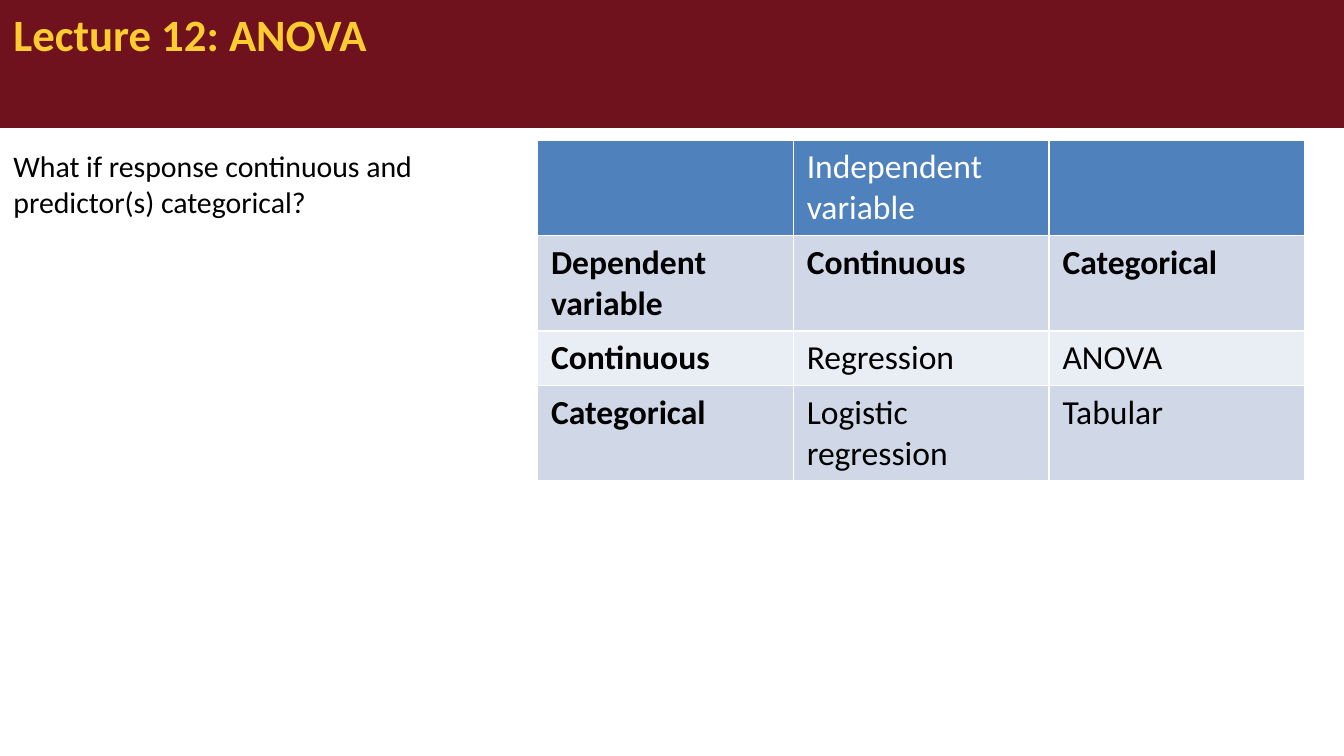
from lxml import etree
from pptx import Presentation
from pptx.dml.color import RGBColor
from pptx.enum.text import MSO_ANCHOR, MSO_AUTO_SIZE, PP_ALIGN
from pptx.oxml.ns import qn
from pptx.util import Cm, Pt

TOP = MSO_ANCHOR.TOP
NO_AUTOFIT = MSO_AUTO_SIZE.NONE
LEFT = PP_ALIGN.LEFT

MAROON = RGBColor(0x70, 0x12, 0x1D)
GOLD = RGBColor(0xFD, 0xCC, 0x31)
BLACK = RGBColor(0x00, 0x00, 0x00)
WHITE = RGBColor(0xFF, 0xFF, 0xFF)
HEADER_BLUE = RGBColor(0x4F, 0x81, 0xBD)
BAND_DARK = RGBColor(0xD0, 0xD8, 0xE8)
BAND_LIGHT = RGBColor(0xE9, 0xED, 0xF4)

FONT = "Calibri"
METHODS = [
    ["", "Independent variable", ""],
    ["Dependent variable", "Continuous", "Categorical"],
    ["Continuous", "Regression", "ANOVA"],
    ["Categorical", "Logistic regression", "Tabular"],
]
ROW_FILLS = [HEADER_BLUE, BAND_DARK, BAND_LIGHT, BAND_DARK]
ROW_HEIGHTS = [Cm(1.8), Cm(1.8), Cm(1.03), Cm(1.8)]


def style_paragraph(paragraph, size, color, bold=False):
    """Align a paragraph left and set its font."""
    paragraph.alignment = LEFT
    font = paragraph.font
    font.name, font.size, font.bold = FONT, Pt(size), bold
    font.color.rgb = color


def fill_placeholder(placeholder, box, text, size, color, bold=False):
    """Place a placeholder in its box and write one paragraph from the top."""
    placeholder.left, placeholder.top, placeholder.width, placeholder.height = box
    frame = placeholder.text_frame
    frame.text = text
    frame.word_wrap = True
    frame.auto_size = NO_AUTOFIT
    frame.vertical_anchor = TOP
    paragraph = frame.paragraphs[0]
    style_paragraph(paragraph, size, color, bold)
    paragraph.space_before = Pt(0)
    return paragraph


def add_title_band(slide, box):
    """Write the lecture title on a maroon band."""
    title = slide.shapes.title
    fill_placeholder(title, box, "Lecture 12: ANOVA", 24, GOLD, bold=True)
    title.fill.solid()
    title.fill.fore_color.rgb = MAROON


def add_question(slide, box):
    """Write the question as body text without a bullet."""
    question = "What if response continuous and predictor(s) categorical?"
    paragraph = fill_placeholder(slide.placeholders[1], box, question, 16, BLACK)
    properties = paragraph._p.get_or_add_pPr()
    properties.set("marL", "0")
    properties.set("indent", "0")
    etree.SubElement(properties, qn("a:buNone"))


def set_borders(cell):
    """Draw thin white lines on the four sides of a cell."""
    properties = cell._tc.get_or_add_tcPr()
    for index, side in enumerate(("a:lnL", "a:lnR", "a:lnT", "a:lnB")):
        line = etree.Element(qn(side), w=str(Pt(1)))
        solid = etree.SubElement(line, qn("a:solidFill"))
        etree.SubElement(solid, qn("a:srgbClr"), val=str(WHITE))
        properties.insert(index, line)


def add_methods_table(slide, box):
    """Build the table of methods by type of variable."""
    table = slide.shapes.add_table(len(METHODS), len(METHODS[0]), *box).table
    for column in table.columns:
        column.width = box[2] // len(METHODS[0])
    for r, (texts, fill, height) in enumerate(zip(METHODS, ROW_FILLS, ROW_HEIGHTS)):
        table.rows[r].height = height
        for c, text in enumerate(texts):
            cell = table.cell(r, c)
            cell.text = text
            cell.fill.solid()
            cell.fill.fore_color.rgb = fill
            set_borders(cell)
            bold = r == 1 or (r > 1 and c == 0)
            color = WHITE if r == 0 else BLACK
            style_paragraph(cell.text_frame.paragraphs[0], 18, color, bold)


def main():
    """Build the slide and save it."""
    presentation = Presentation()
    presentation.slide_width = Cm(25.4)
    presentation.slide_height = Cm(14.29)
    slide = presentation.slides.add_slide(presentation.slide_layouts[1])
    add_title_band(slide, (Cm(0), Cm(0), presentation.slide_width, Cm(2.42)))
    add_question(slide, (Cm(0), Cm(2.67), Cm(9.83), Cm(9.78)))
    add_methods_table(slide, (Cm(10.16), Cm(2.65), Cm(14.5), sum(ROW_HEIGHTS)))
    presentation.save("out.pptx")


if __name__ == "__main__":
    main()
